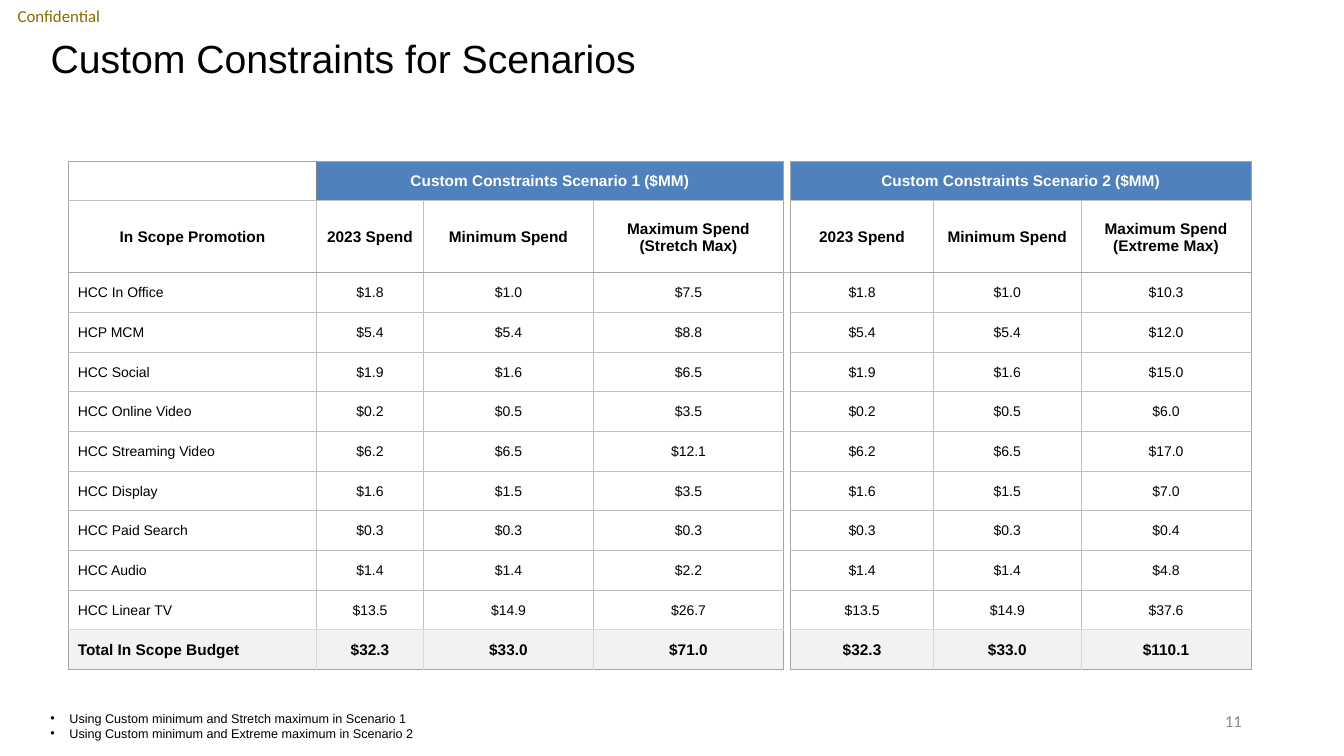
"""Build the slide that lists custom spend constraints for two scenarios."""
from dataclasses import dataclass

from lxml.etree import SubElement
from pptx import Presentation
from pptx.dml.color import RGBColor
from pptx.enum.text import MSO_ANCHOR, PP_ALIGN
from pptx.oxml.ns import qn
from pptx.util import Cm, Pt


@dataclass(frozen=True)
class Theme:
    body_font: str = "Arial"
    margin_font: str = "Calibri"
    ink: str = "000000"
    white: str = "FFFFFF"
    gold: str = "8E6A00"
    grey: str = "8C8C8C"
    header_fill: str = "4F81BD"
    total_fill: str = "F2F2F2"
    outer_line: str = "A6A6A6"
    corner_line: str = "808080"
    inner_line: str = "BFBFBF"
    total_line: str = "D9D9D9"
    title_size: float = 28
    margin_size: float = 12
    heading_size: float = 11
    value_size: float = 10
    note_size: float = 9


THEME = Theme()
NO_STYLE = "{2D5ABB26-0587-4C30-8999-92F81FD0307C}"
COLUMN_WIDTHS = [6.25, 2.69, 4.29, 4.78, 0.18, 3.61, 3.71, 4.29]
ROW_HEIGHTS = [1, 1.81] + [1] * 10
GAP = 4
TOTAL = len(ROW_HEIGHTS) - 1
SCENARIO_COLUMNS = (1, 5)
SPEND = [
    ("HCC In Office", "$1.8", "$1.0", "$7.5", "$10.3"),
    ("HCP MCM", "$5.4", "$5.4", "$8.8", "$12.0"),
    ("HCC Social", "$1.9", "$1.6", "$6.5", "$15.0"),
    ("HCC Online Video", "$0.2", "$0.5", "$3.5", "$6.0"),
    ("HCC Streaming Video", "$6.2", "$6.5", "$12.1", "$17.0"),
    ("HCC Display", "$1.6", "$1.5", "$3.5", "$7.0"),
    ("HCC Paid Search", "$0.3", "$0.3", "$0.3", "$0.4"),
    ("HCC Audio", "$1.4", "$1.4", "$2.2", "$4.8"),
    ("HCC Linear TV", "$13.5", "$14.9", "$26.7", "$37.6"),
    ("Total In Scope Budget", "$32.3", "$33.0", "$71.0", "$110.1"),
]
HEADINGS = ("In Scope Promotion", "2023 Spend", "Minimum Spend",
            "Maximum Spend\n(Stretch Max)", "Maximum Spend\n(Extreme Max)")


def write(frame, text, *, size, font=THEME.body_font, color=THEME.ink, bold=False,
          align=PP_ALIGN.LEFT, line_spacing=None, bullet=None):
    for index, line in enumerate(text.split("\n")):
        paragraph = frame.add_paragraph() if index else frame.paragraphs[0]
        paragraph.alignment = align
        if line_spacing:
            paragraph.line_spacing = line_spacing
        if bullet:
            properties = paragraph._p.get_or_add_pPr()
            properties.set("marL", str(Cm(0.48)))
            properties.set("indent", str(-Cm(0.48)))
            SubElement(properties, qn("a:buFont")).set("typeface", font)
            SubElement(properties, qn("a:buChar")).set("char", bullet)
        run = paragraph.add_run()
        run.text = line
        run.font.name = font
        run.font.size = Pt(size)
        run.font.bold = bold
        run.font.color.rgb = RGBColor.from_string(color)


def vertical_line(row, boundary):
    if boundary in (0, GAP, GAP + 1, len(COLUMN_WIDTHS)):
        return THEME.outer_line, 1
    if row == 0 and boundary == 1:
        return THEME.corner_line, 0.5
    return (THEME.total_line if row == TOTAL else THEME.inner_line), 0.5


def horizontal_line(column, boundary):
    if column == GAP:
        return (THEME.inner_line, 0.5) if boundary == 2 else None
    if boundary in (0, 2, TOTAL + 1):
        return THEME.outer_line, 1
    return (THEME.total_line if boundary == TOTAL else THEME.inner_line), 0.5


def table_rows():
    first, second = (f"Custom Constraints Scenario {n} ($MM)" for n in (1, 2))
    yield ["", first, "", "", "", second, "", ""]
    for name, current, minimum, stretch, extreme in [HEADINGS] + SPEND:
        yield [name, current, minimum, stretch, "", current, minimum, extreme]


class SlideBuilder:
    def __init__(self, slide, theme):
        self.slide = slide
        self.theme = theme

    def place(self, shape, left, top, width, height):
        shape.left, shape.top, shape.width, shape.height = map(Cm, (left, top, width, height))

    def title(self, text, *box):
        heading = self.slide.shapes.title
        self.place(heading, *box)
        heading.text_frame.vertical_anchor = MSO_ANCHOR.MIDDLE
        write(heading.text_frame, text, size=self.theme.title_size, line_spacing=0.9)

    def text(self, text, *box, anchor=MSO_ANCHOR.MIDDLE, **text_format):
        frame = self.slide.shapes.add_textbox(*map(Cm, box)).text_frame
        frame.word_wrap = True
        frame.vertical_anchor = anchor
        write(frame, text, **text_format)

    def border(self, cell, side, line):
        properties = cell._tc.get_or_add_tcPr()
        edge = SubElement(properties, qn(f"a:ln{side}"))
        if line is None:
            SubElement(edge, qn("a:noFill"))
            return
        color, width = line
        edge.set("w", str(Pt(width)))
        fill = SubElement(edge, qn("a:solidFill"))
        SubElement(fill, qn("a:srgbClr")).set("val", color)

    def cell(self, cell, row, column, text):
        theme = self.theme
        is_name = column == 0 and row > 1
        is_heading = row < 2 or row == TOTAL
        cell.margin_left = Cm(0.23 if is_name else 0.03)
        cell.margin_top = cell.margin_right = Cm(0.03)
        cell.margin_bottom = 0
        cell.vertical_anchor = MSO_ANCHOR.MIDDLE
        right = column + (cell.span_width if cell.is_merge_origin else 1)
        self.border(cell, "L", vertical_line(row, column))
        self.border(cell, "R", vertical_line(row, right))
        self.border(cell, "T", horizontal_line(column, row))
        self.border(cell, "B", horizontal_line(column, row + 1))
        fill = {0: theme.header_fill, TOTAL: theme.total_fill}.get(row)
        if text and fill:
            cell.fill.solid()
            cell.fill.fore_color.rgb = RGBColor.from_string(fill)
        else:
            cell.fill.background()
        if text:
            write(cell.text_frame, text, bold=is_heading,
                  size=theme.heading_size if is_heading else theme.value_size,
                  color=theme.ink if row else theme.white,
                  align=PP_ALIGN.LEFT if is_name else PP_ALIGN.CENTER)

    def table(self, rows, left, top):
        size = sum(COLUMN_WIDTHS), sum(ROW_HEIGHTS)
        table = self.slide.shapes.add_table(len(ROW_HEIGHTS), len(COLUMN_WIDTHS),
                                            *map(Cm, (left, top, *size))).table
        table.first_row = table.horz_banding = False
        table._tbl.tblPr.find(qn("a:tableStyleId")).text = NO_STYLE
        for column, width in zip(table.columns, COLUMN_WIDTHS):
            column.width = Cm(width)
        for row, height in zip(table.rows, ROW_HEIGHTS):
            row.height = Cm(height)
        for column in SCENARIO_COLUMNS:
            table.cell(0, column).merge(table.cell(0, column + 2))
        for row, texts in enumerate(rows):
            for column, text in enumerate(texts):
                self.cell(table.cell(row, column), row, column, text)


def main():
    deck = Presentation()
    deck.slide_width, deck.slide_height = Cm(33.87), Cm(19.05)
    builder = SlideBuilder(deck.slides.add_slide(deck.slide_layouts[5]), THEME)
    margin_style = {"font": THEME.margin_font, "size": THEME.margin_size}
    builder.text("Confidential", 0, 0, 2.97, 0.81, color=THEME.gold,
                 align=PP_ALIGN.CENTER, **margin_style)
    builder.title("Custom Constraints for Scenarios", 1.02, 1.02, 30.48, 1.02)
    builder.text("11", 23.93, 17.65, 7.62, 1.02, color=THEME.grey,
                 align=PP_ALIGN.RIGHT, **margin_style)
    builder.table(table_rows(), 1.73, 4.06)
    builder.text("Using Custom minimum and Stretch maximum in Scenario 1\n"
                 "Using Custom minimum and Extreme maximum in Scenario 2",
                 1.02, 17.78, 30.48, 1.02, anchor=MSO_ANCHOR.TOP,
                 size=THEME.note_size, bullet="•")
    deck.save("out.pptx")


if __name__ == "__main__":
    main()
